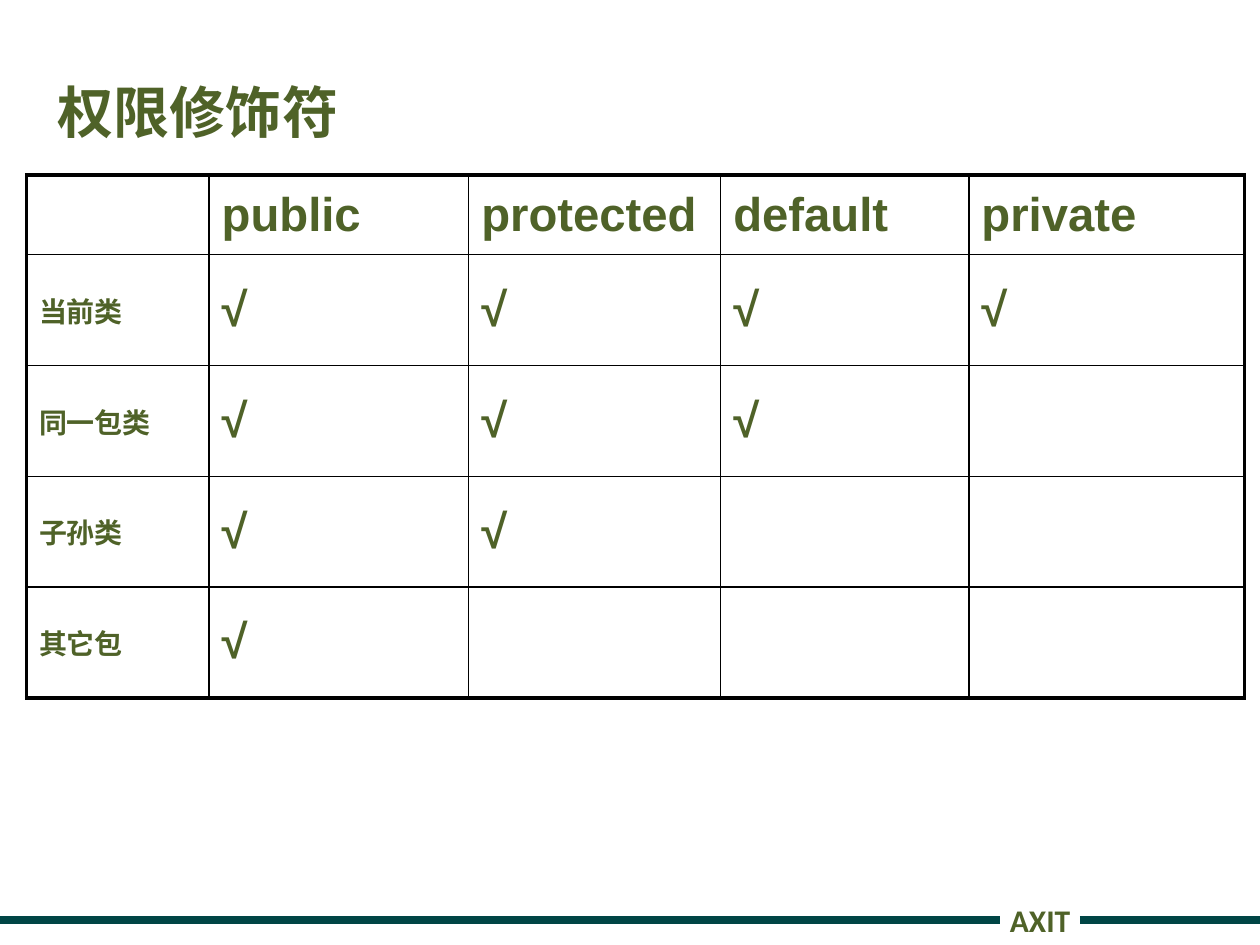
from lxml.etree import SubElement
from pptx import Presentation
from pptx.dml.color import RGBColor
from pptx.enum.shapes import MSO_CONNECTOR as Connector
from pptx.enum.text import MSO_ANCHOR as Anchor, PP_ALIGN as Align
from pptx.oxml.ns import qn
from pptx.util import Inches, Pt

GREEN, TEAL, BLACK = "4F6228", "004545", "000000"
HEADERS = ["public", "protected", "default", "private"]
SCOPES = ["当前类", "同一包类", "子孙类", "其它包"]
COLUMN_WIDTHS = [1.45, 2.06, 2, 1.97, 2.19]
ROW_HEIGHTS = [0.63] + [0.88] * 4


def color(value):
    """Return the colour for a hex string."""
    return RGBColor.from_string(value)


def write_text(frame, text, size, font="Calibri", align=Align.LEFT, anchor=Anchor.MIDDLE):
    """Write one bold green paragraph into a text frame and return it."""
    frame.vertical_anchor = anchor
    paragraph = frame.paragraphs[0]
    paragraph.alignment = align
    run = paragraph.add_run()
    run.text = text
    run.font.name, run.font.size, run.font.bold = font, Pt(size), True
    run.font.color.rgb = color(GREEN)
    return paragraph


def set_border(cell, side, width):
    """Draw one black border of a cell."""
    line = SubElement(cell._tc.get_or_add_tcPr(), qn(f"a:ln{side}"), w=str(Pt(width)))
    fill = SubElement(line, qn("a:solidFill"))
    SubElement(fill, qn("a:srgbClr"), val=BLACK)


def add_title(slide, left, top, width, height):
    """Place the title in its placeholder."""
    title = slide.shapes.title
    title.left, title.top = Inches(left), Inches(top)
    title.width, title.height = Inches(width), Inches(height)
    title.text_frame.word_wrap = True
    write_text(title.text_frame, "权限修饰符", 32)


def fill_cell(cell, row, column):
    """Write the header, scope or check mark of one cell."""
    if row == 0 and column == 0:
        return
    if row == 0:
        text, size = HEADERS[column - 1], 27
    elif column == 0:
        text, size = SCOPES[row - 1], 16
    elif row + column <= len(HEADERS) + 1:
        text, size = "√", 27
    else:
        return
    paragraph = write_text(cell.text_frame, text, size, font="Arial")
    cell.vertical_anchor = Anchor.MIDDLE
    spacing = SubElement(paragraph._p.get_or_add_pPr(), qn("a:spcBef"))
    SubElement(spacing, qn("a:spcPct"), val="20000")


def add_access_table(slide, left, top):
    """Add the access table with a heavy outer frame."""
    rows, columns = len(ROW_HEIGHTS), len(COLUMN_WIDTHS)
    table = slide.shapes.add_table(
        rows, columns, Inches(left), Inches(top),
        Inches(sum(COLUMN_WIDTHS)), Inches(sum(ROW_HEIGHTS))).table
    table.first_row = table.horz_banding = False
    for column, width in zip(table.columns, COLUMN_WIDTHS):
        column.width = Inches(width)
    for row, height in zip(table.rows, ROW_HEIGHTS):
        row.height = Inches(height)
    for row in range(rows):
        for column in range(columns):
            cell = table.cell(row, column)
            fill_cell(cell, row, column)
            outer = {"L": column == 0, "R": column == columns - 1,
                     "T": row == 0, "B": row == rows - 1}
            for side, is_outer in outer.items():
                set_border(cell, side, 2.25 if is_outer else 1)
            cell.fill.background()


def add_footer(slide, left, top, width, height):
    """Add the footer label with a rule on each side, out to the slide edges."""
    middle = top + height / 2
    for start, end in [(0, left), (left + width, 10)]:
        rule = slide.shapes.add_connector(
            Connector.STRAIGHT, Inches(start), Inches(middle), Inches(end), Inches(middle))
        rule.line.color.rgb = color(TEAL)
        rule.line.width = Pt(4.5)
        SubElement(rule._element.spPr, qn("a:effectLst"))
    label = slide.shapes.add_textbox(Inches(left), Inches(top), Inches(width), Inches(height))
    frame = label.text_frame
    frame.word_wrap = False
    frame.margin_left = frame.margin_right = 0
    write_text(frame, "AXIT", 18, align=Align.CENTER, anchor=Anchor.TOP)


def main():
    """Build the slide and save it."""
    presentation = Presentation()
    presentation.slide_width, presentation.slide_height = Inches(10), Inches(7.5)
    slide = presentation.slides.add_slide(presentation.slide_layouts[0])
    subtitle = slide.placeholders[1]._element
    subtitle.getparent().remove(subtitle)
    add_footer(slide, 7.94, 7.1, 0.63, 0.4)
    add_title(slide, 0.36, 0.4, 6.58, 0.97)
    add_access_table(slide, 0.21, 1.39)
    presentation.save("out.pptx")


if __name__ == "__main__":
    main()
